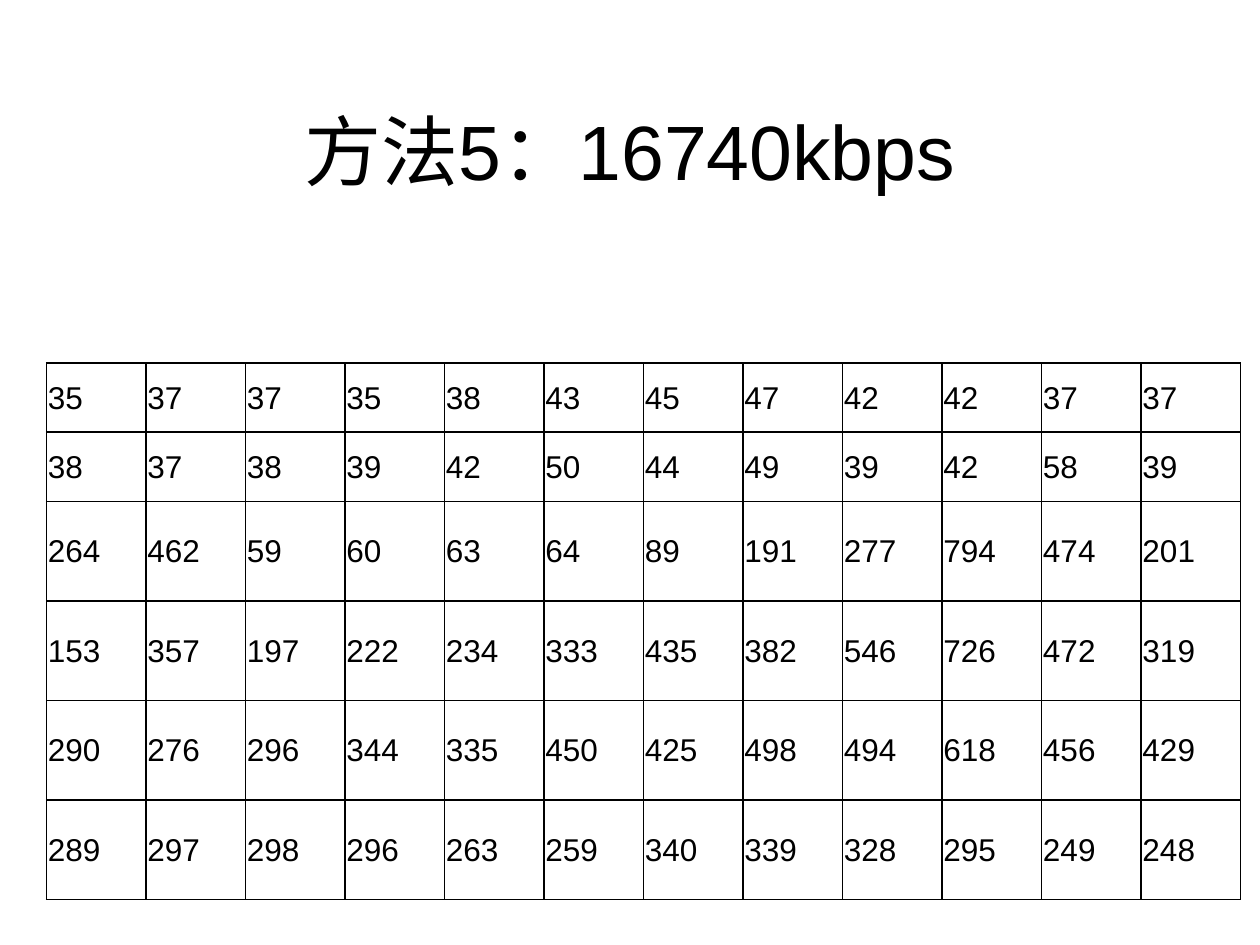
from dataclasses import dataclass
from lxml.etree import SubElement as Sub
from pptx import Presentation
from pptx.dml.color import RGBColor as Color
from pptx.enum.text import MSO_ANCHOR as Anchor, PP_ALIGN as Align
from pptx.oxml.ns import qn
from pptx.util import Inches, Pt

TITLE = "方法5：16740kbps"
RATES = [
    (35, 37, 37, 35, 38, 43, 45, 47, 42, 42, 37, 37),
    (38, 37, 38, 39, 42, 50, 44, 49, 39, 42, 58, 39),
    (264, 462, 59, 60, 63, 64, 89, 191, 277, 794, 474, 201),
    (153, 357, 197, 222, 234, 333, 435, 382, 546, 726, 472, 319),
    (290, 276, 296, 344, 335, 450, 425, 498, 494, 618, 456, 429),
    (289, 297, 298, 296, 263, 259, 340, 339, 328, 295, 249, 248),
]
HEIGHTS = [0.55] * 2 + [0.79] * 4
WIDTH = 0.79


@dataclass(frozen=True)
class Theme:
    """Colours, font and sizes in points."""
    ink: str = "000000"
    paper: str = "FFFFFF"
    font: str = "Arial"
    title: int = 44
    body: int = 18
    line: int = 1


THEME = Theme()


def write(frame, text, size=THEME.body, align=Align.LEFT):
    """Put one formatted line of text in a frame."""
    para = frame.paragraphs[0]
    para.alignment = align
    run = para.add_run()
    run.text = text
    font = run.font
    font.size, font.name = Pt(size), THEME.font
    font.color.rgb = Color.from_string(THEME.ink)


def border(cell):
    """Draw a thin line on all four sides of a cell."""
    props = cell._tc.get_or_add_tcPr()
    for spot, side in enumerate(("lnL", "lnR", "lnT", "lnB")):
        line = Sub(props, qn(f"a:{side}"), w=str(Pt(THEME.line)))
        fill = Sub(line, qn("a:solidFill"))
        Sub(fill, qn("a:srgbClr"), val=THEME.ink)
        props.insert(spot, line)


def head(slide):
    """Place the title."""
    title = slide.shapes.title
    title.left, title.top = Inches(0.5), Inches(0.82)
    title.width, title.height = Inches(9), Inches(0.73)
    frame = title.text_frame
    frame.word_wrap = True
    frame.vertical_anchor = Anchor.MIDDLE
    write(frame, TITLE, size=THEME.title, align=Align.CENTER)


def grid(slide):
    """Build the table of rates."""
    count = len(RATES[0])
    table = slide.shapes.add_table(
        len(RATES), count, Inches(0.37), Inches(2.88),
        Inches(WIDTH * count), Inches(sum(HEIGHTS))).table
    table.first_row = table.horz_banding = False
    for col in table.columns:
        col.width = Inches(WIDTH)
    for row, tall, rates in zip(table.rows, HEIGHTS, RATES):
        row.height = Inches(tall)
        for cell, rate in zip(row.cells, rates):
            cell.margin_left = cell.margin_right = Inches(0.01)
            cell.margin_top, cell.margin_bottom = Inches(0.01), 0
            cell.vertical_anchor = Anchor.MIDDLE
            cell.fill.solid()
            cell.fill.fore_color.rgb = Color.from_string(THEME.paper)
            border(cell)
            write(cell.text_frame, str(rate))


def main():
    """Make and save the slide."""
    deck = Presentation()
    deck.slide_width, deck.slide_height = Inches(10), Inches(7.5)
    slide = deck.slides.add_slide(deck.slide_layouts[5])
    head(slide)
    grid(slide)
    deck.save("out.pptx")


main()
